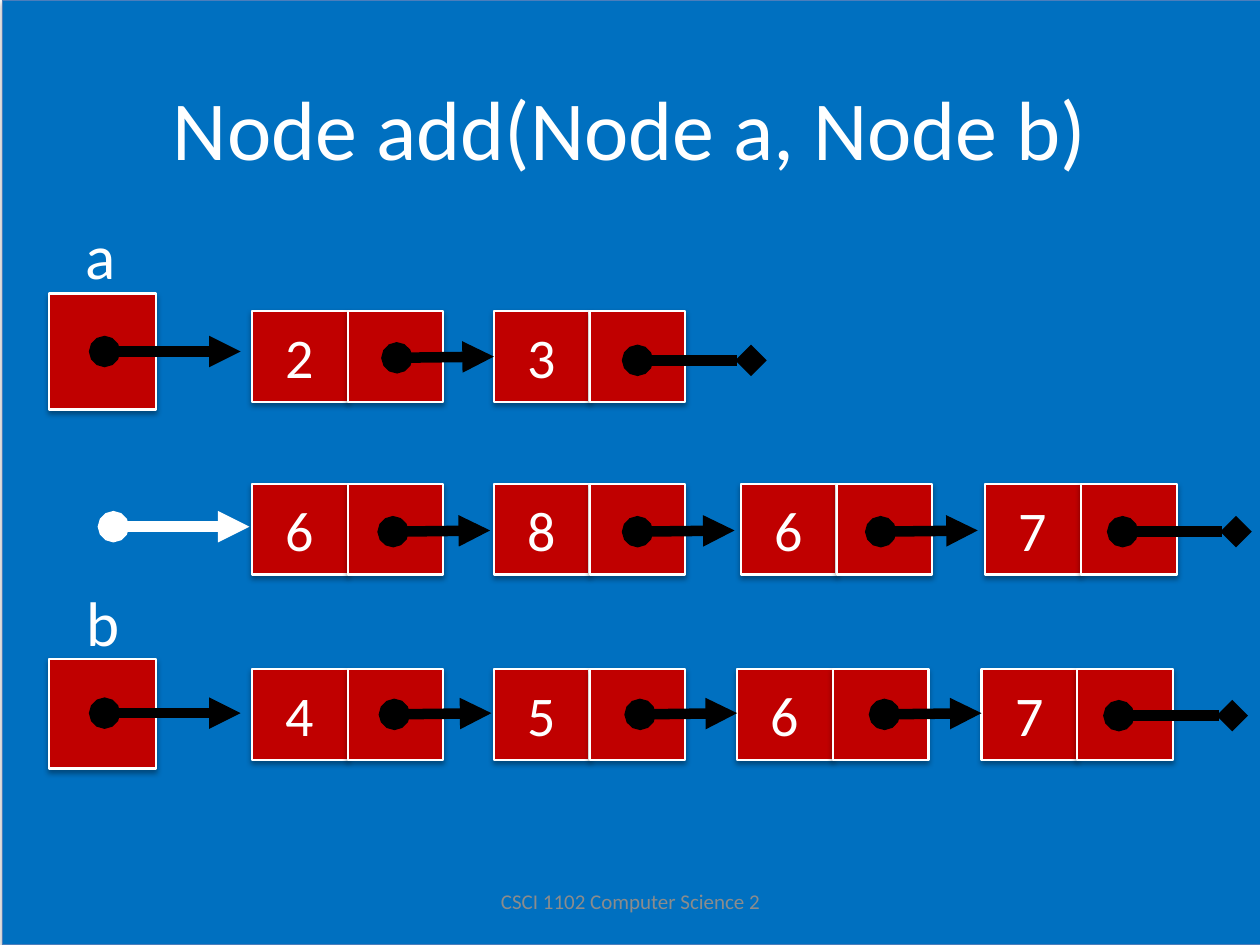
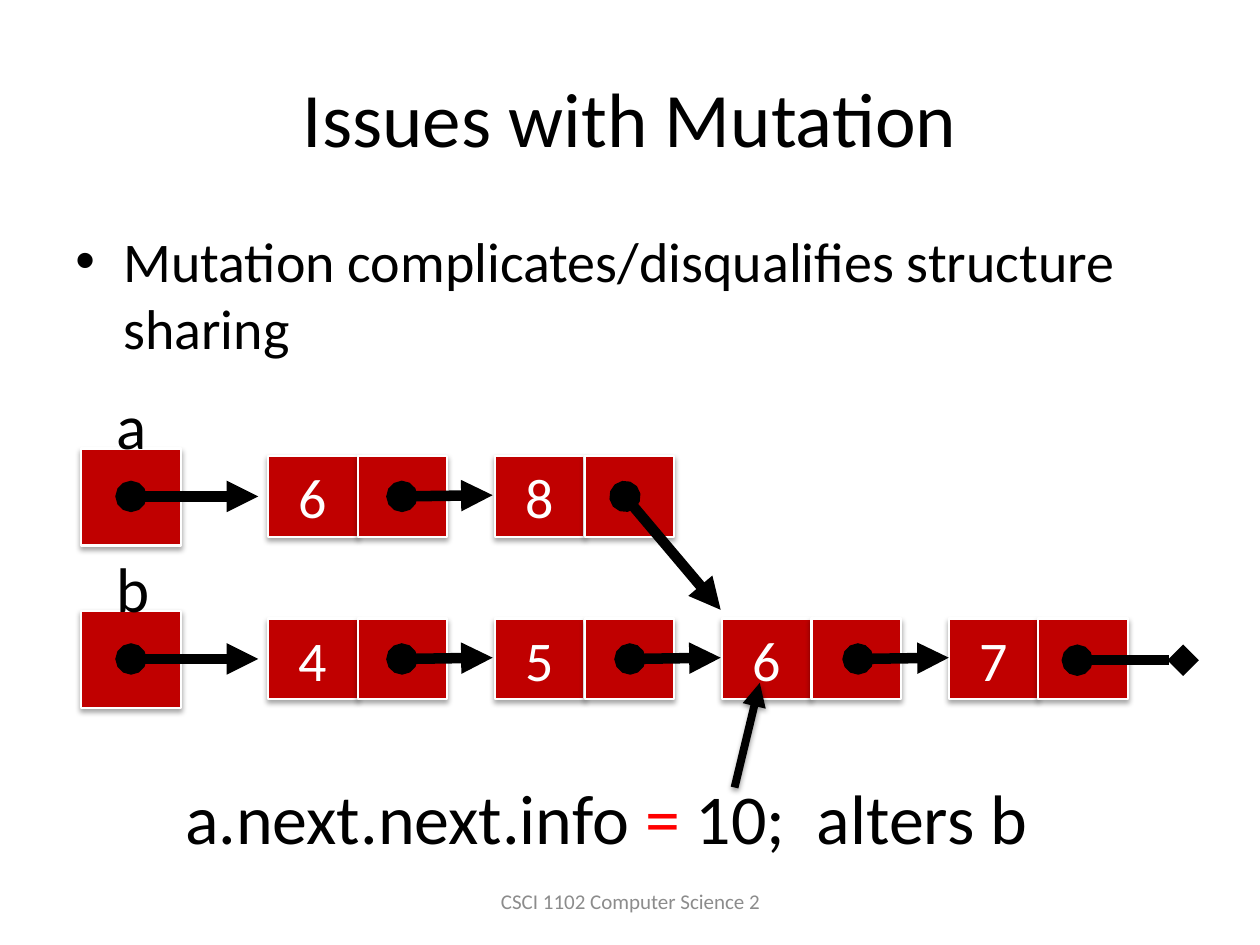
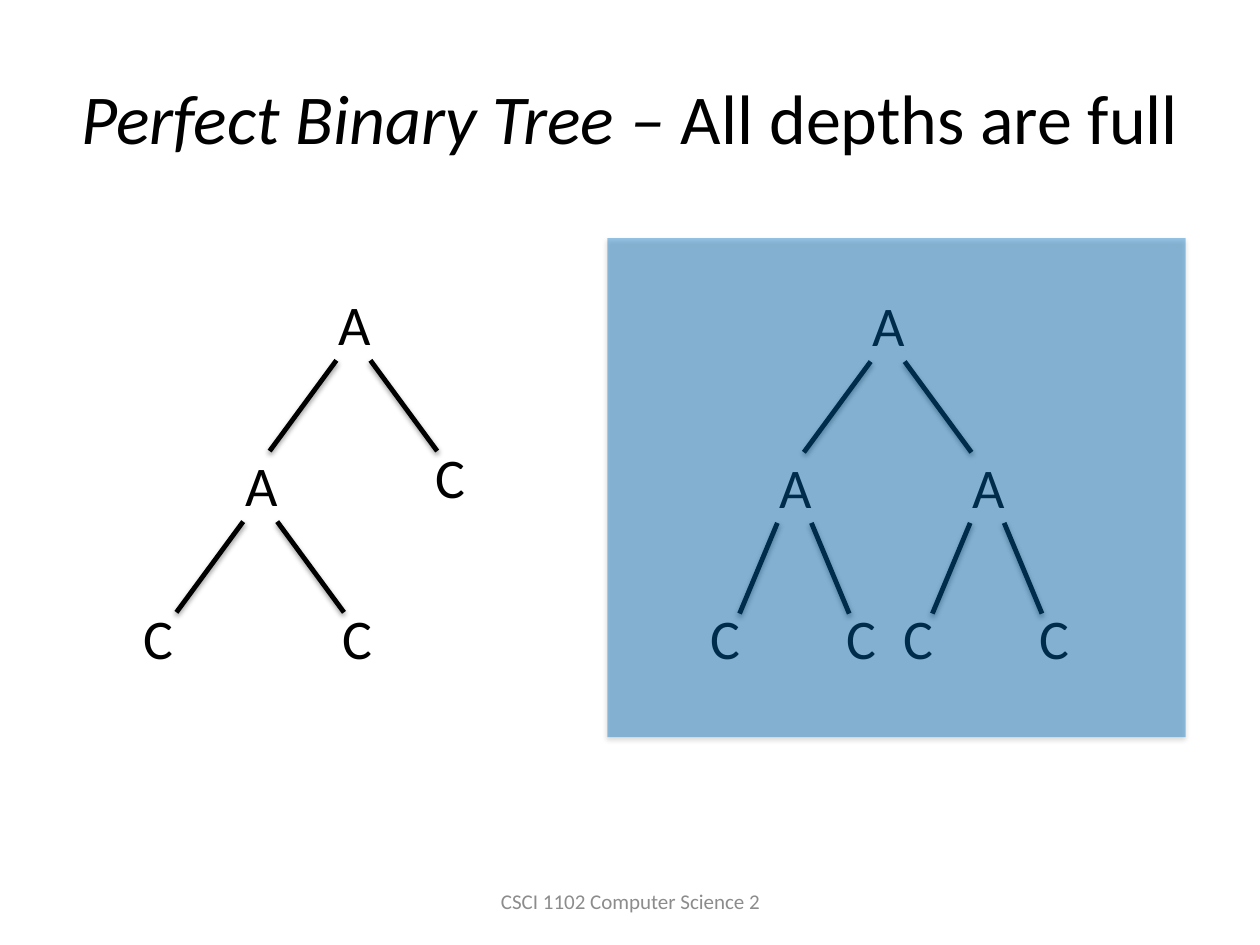
from lxml.etree import SubElement
from pptx import Presentation
from pptx.dml.color import RGBColor
from pptx.enum.shapes import MSO_CONNECTOR, MSO_SHAPE
from pptx.enum.text import MSO_ANCHOR, MSO_AUTO_SIZE, PP_ALIGN
from pptx.oxml.ns import qn
from pptx.util import Inches, Pt

BLACK = RGBColor(0x00, 0x00, 0x00)
WHITE = RGBColor(0xFF, 0xFF, 0xFF)
BLUE = RGBColor(0x00, 0x70, 0xC0)
EDGE_BLUE = RGBColor(0x4B, 0x7E, 0xBC)
CRIMSON = RGBColor(0xC0, 0x00, 0x00)
RED = RGBColor(0xFF, 0x00, 0x00)
GRAY = RGBColor(0x8C, 0x8C, 0x8C)

FONT = "Calibri"
FOOTER = "CSCI 1102 Computer Science 2"
CENTERED = {"word_wrap": True, "vertical_anchor": MSO_ANCHOR.MIDDLE}
LABEL = {"word_wrap": False, "auto_size": MSO_AUTO_SIZE.SHAPE_TO_FIT_TEXT}


def apply(target, values):
    for name, value in values.items():
        setattr(target, name, value)


class Lecture:
    """Draws lecture slides in one shared style."""

    def __init__(self):
        self.deck = Presentation()
        self.deck.slide_width, self.deck.slide_height = Inches(10), Inches(7.5)
        self.page = None

    def new_page(self):
        self.page = self.deck.slides.add_slide(self.deck.slide_layouts[6])

    def fill_frame(self, frame, runs, size, color, frame_format, align=None):
        apply(frame, frame_format)
        para = frame.paragraphs[0]
        para.alignment = align
        for text, changes in runs:
            span = para.add_run()
            span.text = text
            values = {"name": FONT, "size": Pt(size), "italic": False, "color": color, **changes}
            span.font.color.rgb = values.pop("color")
            apply(span.font, values)
        return para

    def text(self, place, runs, size, color=BLACK, frame_format=LABEL, align=None):
        if isinstance(runs, str):
            runs = [(runs, {})]
        box = self.page.shapes.add_textbox(*map(Inches, place))
        return self.fill_frame(box.text_frame, runs, size, color, frame_format, align)

    def title(self, runs, size=44, color=BLACK, top=0.3):
        self.text((0.5, top, 9, 1.25), runs, size, color, CENTERED, PP_ALIGN.CENTER)

    def footer(self):
        self.text((3.42, 6.95, 3.17, 0.4), FOOTER, 12, GRAY, CENTERED, PP_ALIGN.CENTER)

    def bullet(self, place, text):
        para = self.text(place, text, 32, frame_format={"word_wrap": True})
        para.space_before = Pt(6.4)
        properties = para._p.get_or_add_pPr()
        properties.set("marL", str(Inches(0.38)))
        properties.set("indent", str(Inches(-0.38)))
        SubElement(properties, qn("a:buFont"), typeface="Arial")
        SubElement(properties, qn("a:buChar"), char="•")

    def shadow(self, effects, alpha=35, distance=1.8):
        cast = SubElement(effects, qn("a:outerShdw"), blurRad=str(Pt(3.1)),
                          dist=str(Pt(distance)), dir="5400000", rotWithShape="0")
        color = SubElement(cast, qn("a:srgbClr"), val=str(BLACK))
        SubElement(color, qn("a:alpha"), val=str(alpha * 1000))

    def rectangle(self, place, fill=CRIMSON, line=WHITE, width=1.25, text=None, alpha=None):
        box = self.page.shapes.add_shape(MSO_SHAPE.RECTANGLE, *map(Inches, place))
        box.fill.solid()
        box.fill.fore_color.rgb = fill
        if alpha:
            color = box._element.spPr.find(qn("a:solidFill"))[0]
            SubElement(color, qn("a:alpha"), val=str(alpha * 1000))
        if line is None:
            box.line.fill.background()
        else:
            box.line.color.rgb = line
            box.line.width = Pt(width)
        box.shadow.inherit = False
        self.shadow(box._element.spPr.find(qn("a:effectLst")))
        if text:
            self.fill_frame(box.text_frame, [(text, {})], 32, WHITE, CENTERED, PP_ALIGN.CENTER)

    def line(self, start, end, color=BLACK, width=6, head=None, tail=None, shadow=False):
        link = self.page.shapes.add_connector(MSO_CONNECTOR.STRAIGHT, *map(Inches, start + end))
        link.line.color.rgb = color
        link.line.width = Pt(width)
        outline = link._element.spPr.find(qn("a:ln"))
        for tag, kind in (("a:headEnd", head), ("a:tailEnd", tail)):
            if kind:
                SubElement(outline, qn(tag), type=kind)
        effects = SubElement(link._element.spPr, qn("a:effectLst"))
        if shadow:
            self.shadow(effects, alpha=38, distance=1.6)

    def pointer(self, start, end, tail="triangle", color=BLACK):
        self.line(start, end, color, head="oval", tail=tail)

    def nodes(self, values, lefts, top, width, height):
        for value, left in zip(values, lefts):
            self.rectangle((left, top, width, height), text=value)
            self.rectangle((left + width, top, width, height))

    def links(self, starts, y, length):
        for x in starts:
            self.pointer((x, y), (x + length, y - 0.01))

    def terminator(self, x, y, length):
        self.pointer((x, y), (x + length, y), "diamond")

    def fork(self, x, y, reach):
        self.text((x, y, 0.46, 0.64), "A", 32)
        for foot, side in ((x + 0.08, -1), (x + 0.35, 1)):
            self.line((foot, y + 0.61), (foot + side * reach, y + 1.33), width=2.75, shadow=True)

    def leaf(self, x, y=4.74):
        self.text((x, y, 0.44, 0.64), "C", 32)


def addition(lecture):
    lecture.new_page()
    lecture.rectangle((0.02, 0, 10, 7.5), BLUE, EDGE_BLUE, 0.75)
    lecture.title("Node add(Node a, Node b)", 48, WHITE, 0.38)
    lecture.footer()
    variables = (("a", 0.58, 1.67, 2.33, 0.92, 2.79), ("b", 0.59, 4.58, 5.23, 0.87, 5.66))
    for name, left, label_top, top, height, middle in variables:
        lecture.rectangle((0.39, top, 0.85, height))
        lecture.text((left, label_top, 0.45, 0.71), name, 36, WHITE)
        lecture.pointer((0.83, middle), (1.91, middle))
    lecture.pointer((0.9, 4.18), (1.98, 4.18), color=WHITE)
    rows = (
        ("23", (2, 3.92), 2.47, (3.15,), 2.84, (5.06, 2.86)),
        ("6867", (2, 3.92, 5.88, 7.82), 3.84, (3.12, 5.06, 6.99), 4.22, (8.91, 4.22)),
        ("4567", (2, 3.92, 5.85, 7.79), 5.31, (3.13, 5.08, 7.02), 5.67, (8.88, 5.68)),
    )
    for values, lefts, top, starts, middle, last in rows:
        lecture.nodes(values, lefts, top, 0.76, 0.72)
        lecture.links(starts, middle, 0.77)
        lecture.terminator(*last, 0.9)


def mutation(lecture):
    lecture.new_page()
    lecture.title("Issues with Mutation")
    lecture.bullet((0.5, 1.75, 9, 4.95), "Mutation complicates/disqualifies structure sharing")
    lecture.footer()
    lefts = [2.13 + 1.8 * column for column in range(4)]
    starts = [3.19 + 1.81 * column for column in range(3)]
    rows = (("a", "68", 3.62, starts[:1]), ("b", "4567", 4.91, starts))
    for name, values, top, row_starts in rows:
        lecture.rectangle((0.64, top - 0.06, 0.8, 0.77))
        lecture.pointer((1.04, top + 0.32), (2.05, top + 0.32))
        lecture.nodes(values, lefts, top, 0.71, 0.64)
        lecture.links(row_starts, top + 0.32, 0.72)
        lecture.text((0.83, top - 0.6, 0.41, 0.62), name, 36)
    lecture.pointer((4.96, 3.94), (5.72, 4.84))
    lecture.terminator(8.55, 5.24, 0.84)
    statement = [("a.next.next.info ", {}), ("=", {"color": RED}), (" 10;  alters b", {})]
    lecture.text((1.37, 6.1, 6.95, 0.77), statement, 40)
    lecture.line((5.83, 6.25), (6.03, 5.42), width=4.5, tail="triangle", shadow=True)


def perfect_tree(lecture):
    lecture.new_page()
    lecture.title([("Perfect Binary Tree – ", {"italic": True}), ("All depths are full", {})], 40)
    lecture.footer()
    lecture.fork(2.59, 2.25, 0.53)
    lecture.fork(1.85, 3.53, 0.53)
    lecture.leaf(3.36, 3.46)
    for x in (1.04, 2.62):
        lecture.leaf(x)
    lecture.fork(6.83, 2.26, 0.53)
    for x in (6.09, 7.62):
        lecture.fork(x, 3.54, 0.3)
        lecture.leaf(x - 0.55)
        lecture.leaf(x + 0.53)
    lecture.rectangle((4.82, 1.89, 4.59, 3.96), BLUE, None, alpha=40)


def main():
    lecture = Lecture()
    for draw in (addition, mutation, perfect_tree):
        draw(lecture)
    lecture.deck.save("out.pptx")


if __name__ == "__main__":
    main()
